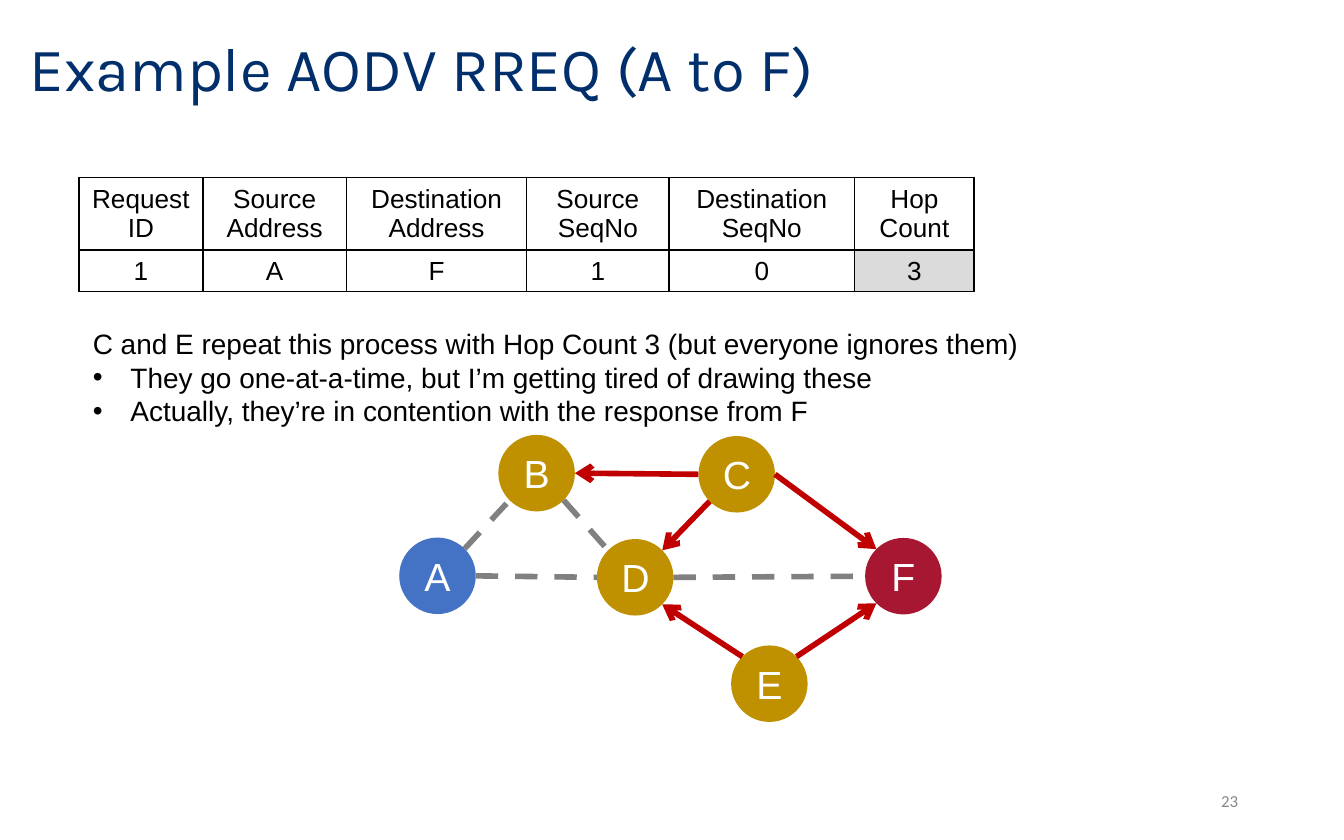
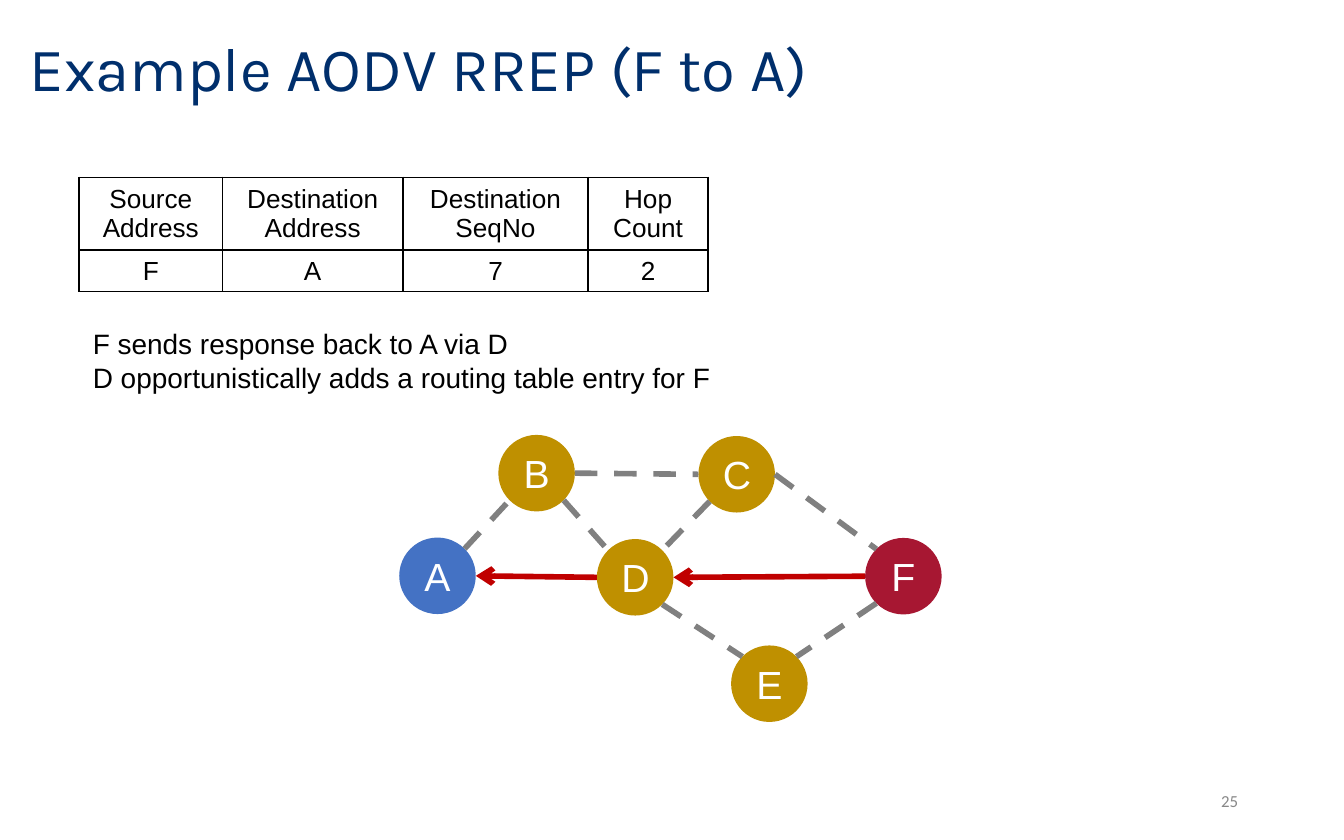
"""Build two slides on AODV route request and route reply."""
from math import cos, radians, sin

from lxml.etree import SubElement
from pptx import Presentation
from pptx.dml.color import RGBColor
from pptx.enum.dml import MSO_LINE
from pptx.enum.shapes import MSO_CONNECTOR, MSO_SHAPE
from pptx.enum.text import MSO_ANCHOR, MSO_AUTO_SIZE, PP_ALIGN
from pptx.oxml import parse_xml
from pptx.oxml.ns import nsdecls, qn
from pptx.util import Pt

NAVY, BLACK, WHITE = "002F6C", "000000", "FFFFFF"
BLUE, GOLD, CRIMSON = "4472C4", "BF9000", "A71732"
RED, GREY, SILVER, MUTED = "C00000", "808080", "DBDBDB", "888888"
NO_STYLE = "{2D5ABB26-0587-4C30-8999-92F81FD0307C}"

NODE_SIZE = 41
NODES = {
    "A": (213.9, 288, BLUE),
    "B": (267, 233, GOLD),
    "C": (374.2, 233.6, GOLD),
    "D": (319.8, 288.8, GOLD),
    "E": (391.7, 345.8, GOLD),
    "F": (463.5, 288.2, CRIMSON),
}
TOP_LEFT, LEFT, BOTTOM_LEFT, BOTTOM_RIGHT, RIGHT, TOP_RIGHT = 1, 2, 3, 5, 6, 7
LINKS = [
    ("A", TOP_RIGHT, "B", BOTTOM_LEFT),
    ("B", RIGHT, "C", LEFT),
    ("B", BOTTOM_RIGHT, "D", TOP_LEFT),
    ("C", BOTTOM_LEFT, "D", TOP_RIGHT),
    ("C", RIGHT, "F", TOP_LEFT),
    ("D", RIGHT, "F", LEFT),
    ("D", BOTTOM_RIGHT, "E", TOP_LEFT),
    ("F", BOTTOM_LEFT, "E", TOP_RIGHT),
    ("A", RIGHT, "D", LEFT),
]
COLUMN_WIDTHS = {
    "Request ID": 66.4,
    "Source Address": 77,
    "Destination Address": 96.5,
    "Source SeqNo": 76.3,
    "Destination\nSeqNo": 99.4,
    "Hop Count": 64.1,
}
SLIDES = [
    {
        "title": "Example AODV RREQ (A to F)",
        "number": 23,
        "fields": {"Request ID": "1", "Source Address": "A", "Destination Address": "F",
                   "Source SeqNo": "1", "Destination\nSeqNo": "0", "Hop Count": "3"},
        "shaded": "Hop Count",
        "lines": ["C and E repeat this process with Hop Count 3 (but everyone ignores them)"],
        "bullets": ["They go one-at-a-time, but I’m getting tired of drawing these",
                    "Actually, they’re in contention with the response from F"],
        "arrows": {"CB", "CD", "CF", "ED", "EF"},
    },
    {
        "title": "Example AODV RREP (F to A)",
        "number": 25,
        "fields": {"Source Address": "F", "Destination Address": "A",
                   "Destination\nSeqNo": "7", "Hop Count": "2"},
        "shaded": None,
        "lines": ["F sends response back to A via D",
                  "D opportunistically adds a routing table entry for F"],
        "bullets": [],
        "arrows": {"FD", "DA"},
    },
]


def rgb(color):
    """Turn a hex string into a colour."""
    return RGBColor.from_string(color)


def write(tf, *lines, size, color=BLACK, font="Arial", align=PP_ALIGN.LEFT,
          anchor=MSO_ANCHOR.MIDDLE, spacing=1.0):
    """Fill a text frame with one formatted paragraph per line."""
    tf.word_wrap = True
    tf.vertical_anchor = anchor
    for i, line in enumerate(lines):
        p = tf.add_paragraph() if i else tf.paragraphs[0]
        p.text = line
        p.alignment = align
        p.line_spacing = spacing
        p.space_before = p.space_after = Pt(0)
        for r in p.runs:
            r.font.name = font
            r.font.size = Pt(size)
            r.font.color.rgb = rgb(color)


def place(sp, x, y, w, h):
    """Move and size a shape in points."""
    sp.left, sp.top, sp.width, sp.height = Pt(x), Pt(y), Pt(w), Pt(h)


def site_point(node, site):
    """Return a connection site of a node circle, counted anticlockwise from the top."""
    x, y, _ = NODES[node]
    radius, angle = NODE_SIZE / 2, radians(90 + 45 * site)
    return Pt(x + radius + radius * cos(angle)), Pt(y + radius - radius * sin(angle))


class Deck:
    """Hold the presentation, its style and the current slide."""

    def __init__(self):
        """Start an empty deck."""
        self.prs = Presentation()
        self.prs.slide_width, self.prs.slide_height = Pt(720), Pt(450)
        self.s = None

    def slide(self, title, number):
        """Add a slide with its title and page number."""
        self.s = self.prs.slides.add_slide(self.prs.slide_layouts[1])
        sp = self.s.shapes.title
        place(sp, 8.6, 7.2, 613.4, 61.9)
        write(sp.text_frame, title, size=33, color=NAVY, font="Karla", spacing=0.9)
        sp.text_frame.auto_size = MSO_AUTO_SIZE.NONE
        box = self.s.shapes.add_textbox(Pt(508.3), Pt(416.9), Pt(162), Pt(23.8))
        write(box.text_frame, str(number), size=9, color=MUTED, font="Calibri",
              align=PP_ALIGN.RIGHT)

    def body(self, lines, bullets):
        """Fill the body placeholder with plain lines, then bullets."""
        sp = self.s.placeholders[1]
        place(sp, 42.5, 171.4, 614.2, 7.9 + 18 * len(lines + bullets))
        tf = sp.text_frame
        write(tf, *lines, *bullets, size=15, anchor=MSO_ANCHOR.TOP)
        tf.auto_size = MSO_AUTO_SIZE.SHAPE_TO_FIT_TEXT
        for i, p in enumerate(tf.paragraphs):
            pPr = p._p.get_or_add_pPr()
            indent = Pt(20.2) if i >= len(lines) else 0
            pPr.set("marL", str(indent))
            pPr.set("indent", str(-indent))
            if indent:
                SubElement(pPr, qn("a:buFont"), typeface="Arial")
                SubElement(pPr, qn("a:buChar"), char="•")
            else:
                SubElement(pPr, qn("a:buNone"))

    def table(self, fields, shaded):
        """Add a message table with a header row and a value row."""
        widths = [COLUMN_WIDTHS[name] for name in fields]
        frame = self.s.shapes.add_table(2, len(fields), Pt(42.3), Pt(95), Pt(sum(widths)), Pt(60))
        table = frame.table
        table.first_row = table.horz_banding = False
        table._tbl.tblPr.find(qn("a:tableStyleId")).text = NO_STYLE
        for row, height in zip(table.rows, (38, 22)):
            row.height = Pt(height)
        for col, (name, value) in enumerate(fields.items()):
            table.columns[col].width = Pt(widths[col])
            self.cell(table.cell(0, col), name)
            self.cell(table.cell(1, col), value, SILVER if name == shaded else None)

    def cell(self, cell, text, fill=None):
        """Format one bordered table cell."""
        write(cell.text_frame, text, size=14, align=PP_ALIGN.CENTER)
        cell.vertical_anchor = MSO_ANCHOR.MIDDLE
        cell.margin_left = cell.margin_right = Pt(5.4)
        cell.margin_top = cell.margin_bottom = Pt(2.7)
        if fill:
            cell.fill.solid()
            cell.fill.fore_color.rgb = rgb(fill)
        else:
            cell.fill.background()
        tcPr = cell._tc.get_or_add_tcPr()
        for i, side in enumerate("LRTB"):
            tcPr.insert(i, parse_xml(
                f'<a:ln{side} {nsdecls("a")} w="{Pt(1)}"><a:solidFill>'
                f'<a:srgbClr val="{BLACK}"/></a:solidFill></a:ln{side}>'))

    def node(self, name):
        """Add a network node and return it."""
        x, y, color = NODES[name]
        sp = self.s.shapes.add_shape(MSO_SHAPE.OVAL, Pt(x), Pt(y), Pt(NODE_SIZE), Pt(NODE_SIZE))
        sp.shadow.inherit = False
        sp.fill.solid()
        sp.fill.fore_color.rgb = rgb(color)
        sp.line.fill.background()
        write(sp.text_frame, name, size=21, color=WHITE, align=PP_ALIGN.CENTER)
        return sp

    def link(self, circles, start, start_site, end, end_site, arrows):
        """Join two nodes, with a red arrow if a message passes between them."""
        line = self.s.shapes.add_connector(
            MSO_CONNECTOR.STRAIGHT, *site_point(start, start_site), *site_point(end, end_site))
        joints = line._element.nvCxnSpPr.cNvCxnSpPr
        for tag, node, site in (("a:stCxn", start, start_site), ("a:endCxn", end, end_site)):
            SubElement(joints, qn(tag), id=str(circles[node].shape_id), idx=str(site))
        SubElement(line._element.spPr, qn("a:effectLst"))
        forward, backward = start + end in arrows, end + start in arrows
        line.line.width = Pt(3)
        line.line.color.rgb = rgb(RED if forward or backward else GREY)
        if forward or backward:
            ln = line.line._get_or_add_ln()
            SubElement(ln, qn("a:tailEnd" if forward else "a:headEnd"), type="arrow")
        else:
            line.line.dash_style = MSO_LINE.DASH

    def network(self, arrows):
        """Draw all nodes and the links between them."""
        circles = {name: self.node(name) for name in NODES}
        for link in LINKS:
            self.link(circles, *link, arrows)


def main():
    """Build and save the deck."""
    deck = Deck()
    for page in SLIDES:
        deck.slide(page["title"], page["number"])
        deck.network(page["arrows"])
        deck.table(page["fields"], page["shaded"])
        deck.body(page["lines"], page["bullets"])
    deck.prs.save("out.pptx")


if __name__ == "__main__":
    main()
